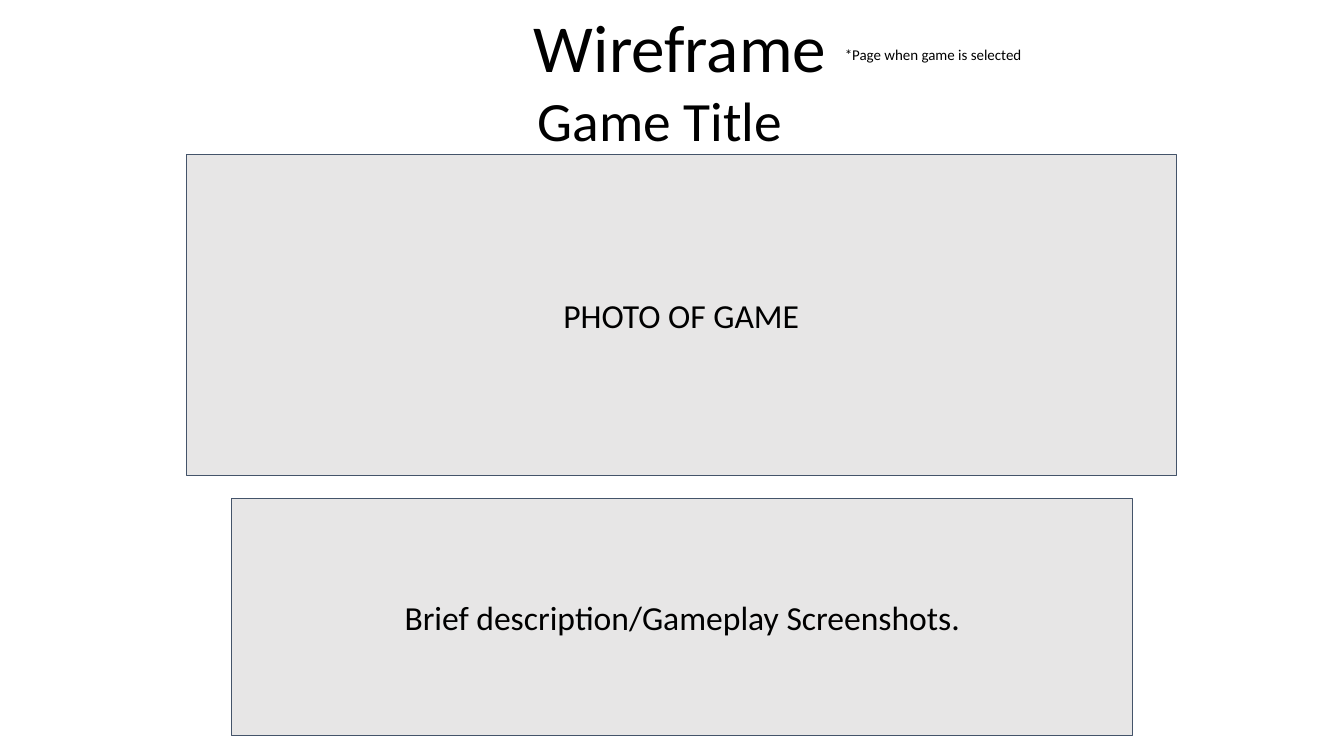
from pptx import Presentation
from pptx.dml.color import RGBColor
from pptx.enum.shapes import MSO_SHAPE as Shape
from pptx.enum.text import MSO_ANCHOR as Anchor, MSO_AUTO_SIZE as AutoSize, PP_ALIGN as Align
from pptx.util import Cm, Pt

COLORS = {"text": "000000", "panel": "E7E6E6", "outline": "44546A"}
FONT = "Calibri"
WIDE_INSETS = (0.33, 0.33)
TEXT_INSETS = (0.25, 0.13)

ITEMS = [
    {"kind": "title", "text": "Game Title", "at": (10.9, 2.03, 11.46, 2.13), "size": 39.6,
     "anchor": Anchor.TOP, "align": Align.CENTER, "spacing": 0.9, "insets": WIDE_INSETS},
    {"kind": "panel", "text": "PHOTO OF GAME", "at": (4.7, 3.89, 24.94, 8.1), "size": 24,
     "anchor": Anchor.MIDDLE, "align": Align.CENTER, "spacing": 1.0, "insets": WIDE_INSETS},
    {"kind": "panel", "text": "Brief description/Gameplay Screenshots.",
     "at": (5.84, 12.57, 22.71, 5.97), "size": 24,
     "anchor": Anchor.MIDDLE, "align": Align.CENTER, "spacing": 1.0, "insets": WIDE_INSETS},
    {"kind": "label", "text": "*Page when game is selected", "at": (20.96, 0.91, 6.68, 1.14),
     "size": 10.7, "anchor": Anchor.TOP, "align": Align.LEFT, "spacing": 1.0,
     "insets": WIDE_INSETS, "fit": AutoSize.SHAPE_TO_FIT_TEXT},
    {"kind": "label", "text": "Wireframe", "at": (4.62, 0.15, 25.04, 2.18), "size": 48,
     "anchor": Anchor.BOTTOM, "align": Align.CENTER, "spacing": 0.9, "insets": TEXT_INSETS},
]


def set_values(target, values):
    for name, value in values.items():
        setattr(target, name, value)


def color(name):
    return RGBColor.from_string(COLORS[name])


def make_box(page, kind, place):
    if kind == "title":
        box = page.shapes.title
        set_values(box, dict(zip(("left", "top", "width", "height"), place)))
    elif kind == "panel":
        box = page.shapes.add_shape(Shape.RECTANGLE, *place)
        box.shadow.inherit = False
        box.fill.solid()
        box.fill.fore_color.rgb = color("panel")
        box.line.color.rgb = color("outline")
        box.line.width = Pt(0.75)
    else:
        box = page.shapes.add_textbox(*place)
    return box


def write_text(box, item):
    side, end = (Cm(inset) for inset in item["insets"])
    frame = box.text_frame
    set_values(frame, {
        "word_wrap": True, "auto_size": item.get("fit", AutoSize.NONE),
        "vertical_anchor": item["anchor"], "margin_left": side, "margin_right": side,
        "margin_top": end, "margin_bottom": end,
    })
    para = frame.paragraphs[0]
    set_values(para, {"alignment": item["align"], "line_spacing": item["spacing"]})
    span = para.add_run()
    span.text = item["text"]
    set_values(span.font, {"name": FONT, "size": Pt(item["size"])})
    span.font.color.rgb = color("text")


def main():
    deck = Presentation()
    set_values(deck, {"slide_width": Cm(33.87), "slide_height": Cm(19.05)})
    page = deck.slides.add_slide(deck.slide_layouts.get_by_name("Title Only"))
    for item in ITEMS:
        place = [Cm(length) for length in item["at"]]
        write_text(make_box(page, item["kind"], place), item)
    deck.save("out.pptx")


if __name__ == "__main__":
    main()
